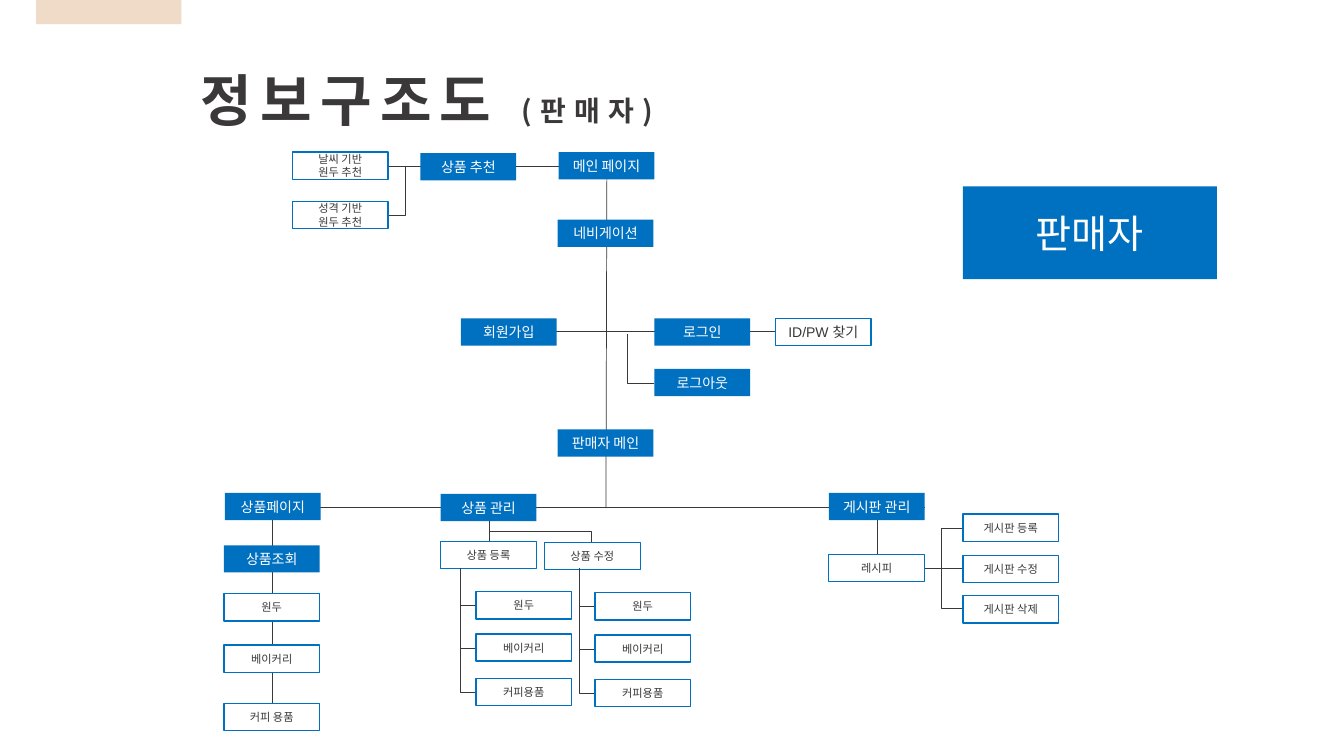
from dataclasses import dataclass
from lxml.etree import SubElement
from pptx import Presentation
from pptx.dml.color import RGBColor
from pptx.enum.shapes import MSO_CONNECTOR, MSO_SHAPE
from pptx.enum.text import MSO_ANCHOR, MSO_AUTO_SIZE, PP_ALIGN
from pptx.oxml.ns import qn
from pptx.util import Pt


@dataclass(frozen=True)
class Theme:
    blue: RGBColor = RGBColor(0x00, 0x70, 0xC0)
    dark: RGBColor = RGBColor(0x3A, 0x38, 0x38)
    white: RGBColor = RGBColor(0xFF, 0xFF, 0xFF)
    sand: RGBColor = RGBColor(0xEF, 0xDB, 0xC7)
    title_font: str = "Noto Sans CJK KR"
    box_font: str = "Arial"
    title_size: int = 40
    subtitle_size: int = 20
    role_size: int = 28
    page_size: int = 10
    item_size: int = 8


theme = Theme()
PX = 9144
BOX_WIDTH, BOX_HEIGHT = 95, 27

presentation = Presentation()
presentation.slide_width = 1333 * PX
presentation.slide_height = 750 * PX
slide = presentation.slides.add_slide(presentation.slide_layouts[5])


def add_box(left, top, text, size, outlined=False, width=BOX_WIDTH, height=BOX_HEIGHT):
    shape = slide.shapes.add_shape(
        MSO_SHAPE.RECTANGLE, left * PX, top * PX, width * PX, height * PX)
    shape.shadow.inherit = False
    shape.fill.solid()
    shape.fill.fore_color.rgb = theme.white if outlined else theme.blue
    if outlined:
        shape.line.color.rgb = theme.blue
        shape.line.width = Pt(1)
    else:
        shape.line.fill.background()
    frame = shape.text_frame
    frame.word_wrap = True
    frame.vertical_anchor = MSO_ANCHOR.MIDDLE
    frame.margin_left = frame.margin_right = 4 * PX
    frame.margin_top = frame.margin_bottom = 5 * PX
    paragraph = frame.paragraphs[0]
    paragraph.text = text
    paragraph.alignment = PP_ALIGN.CENTER
    paragraph.font.name = theme.box_font
    paragraph.font.size = Pt(size)
    paragraph.font.color.rgb = theme.dark if outlined else theme.white


def add_line(begin_x, begin_y, end_x, end_y, bent=False):
    connector = slide.shapes.add_connector(
        MSO_CONNECTOR.ELBOW if bent else MSO_CONNECTOR.STRAIGHT,
        begin_x * PX, begin_y * PX, end_x * PX, end_y * PX)
    connector.line.color.rgb = theme.dark
    connector.line.width = Pt(0.5)
    properties = connector._element.spPr
    if bent:
        properties.find(qn("a:prstGeom")).set("prst", "bentConnector2")
    SubElement(properties, qn("a:effectLst"))


accent = slide.shapes.add_shape(MSO_SHAPE.RECTANGLE, 36 * PX, 0, 144 * PX, 24 * PX)
accent.shadow.inherit = False
accent.fill.solid()
accent.fill.fore_color.rgb = theme.sand
accent.line.fill.background()

title = slide.shapes.title
title.left, title.top, title.width, title.height = 189 * PX, 60 * PX, 499 * PX, 76 * PX
title_frame = title.text_frame
title_frame.word_wrap = False
title_frame.auto_size = MSO_AUTO_SIZE.SHAPE_TO_FIT_TEXT
title_frame.vertical_anchor = MSO_ANCHOR.TOP
title_paragraph = title_frame.paragraphs[0]
title_paragraph.alignment = PP_ALIGN.LEFT
for text, size in (("정보구조도 ", theme.title_size), ("(판매자)", theme.subtitle_size)):
    run = title_paragraph.add_run()
    run.text = text
    run.font.size = Pt(size)
    run.font.bold = True
    run.font.color.rgb = theme.dark
    run.font.name = theme.title_font
    run_properties = run._r.get_or_add_rPr()
    run_properties.set("spc", "600")
    SubElement(run_properties, qn("a:ea")).set("typeface", theme.title_font)

straight_lines = [
    (822, 564, 1050, 564), (870, 489, 870, 577), (270, 489, 270, 725),
    (457, 329, 864, 329), (602, 151, 601, 504), (223, 503, 917, 503),
    (290, 165, 649, 165), (485, 517, 485, 537),
]
for ends in straight_lines:
    add_line(*ends)

bent_lines = [
    (485, 527, 587, 538), (649, 380, 622, 331), (385, 214, 402, 165),
    (955, 524, 934, 564), (955, 604, 934, 564),
]
for ends in bent_lines:
    add_line(*ends, bent=True)

add_box(955, 185, "판매자", theme.role_size, width=252, height=92)

pages = [
    (554, 151, "메인 페이지"), (417, 152, "상품 추천"), (553, 218, "네비게이션"),
    (457, 316, "회원가입"), (649, 316, "로그인"), (649, 366, "로그아웃"),
    (553, 426, "판매자 메인"), (223, 489, "상품페이지"), (222, 541, "상품조회"),
    (437, 490, "상품 관리"), (822, 489, "게시판 관리"),
]
for left, top, text in pages:
    add_box(left, top, text, theme.page_size)
add_box(769, 316, "ID/PW 찾기", theme.page_size, outlined=True)

items = [
    (290, 151, "날씨 기반\n원두 추천"), (290, 200, "성격 기반\n원두 추천"),
    (222, 589, "원두"), (222, 640, "베이커리"), (222, 698, "커피 용품"),
    (437, 537, "상품 등록"), (540, 538, "상품 수정"), (822, 550, "레시피"),
    (955, 510, "게시판 등록"), (955, 551, "게시판 수정"), (955, 591, "게시판 삭제"),
]
for left, top, text in items:
    add_box(left, top, text, theme.item_size, outlined=True)

for left, first_top in ((472, 587), (590, 588)):
    for offset, text in ((0, "원두"), (42, "베이커리"), (86, "커피용품")):
        top = first_top + offset
        add_line(left, top + 14, left - 15, 564, bent=True)
        add_box(left, top, text, theme.item_size, outlined=True)

presentation.save("out.pptx")
